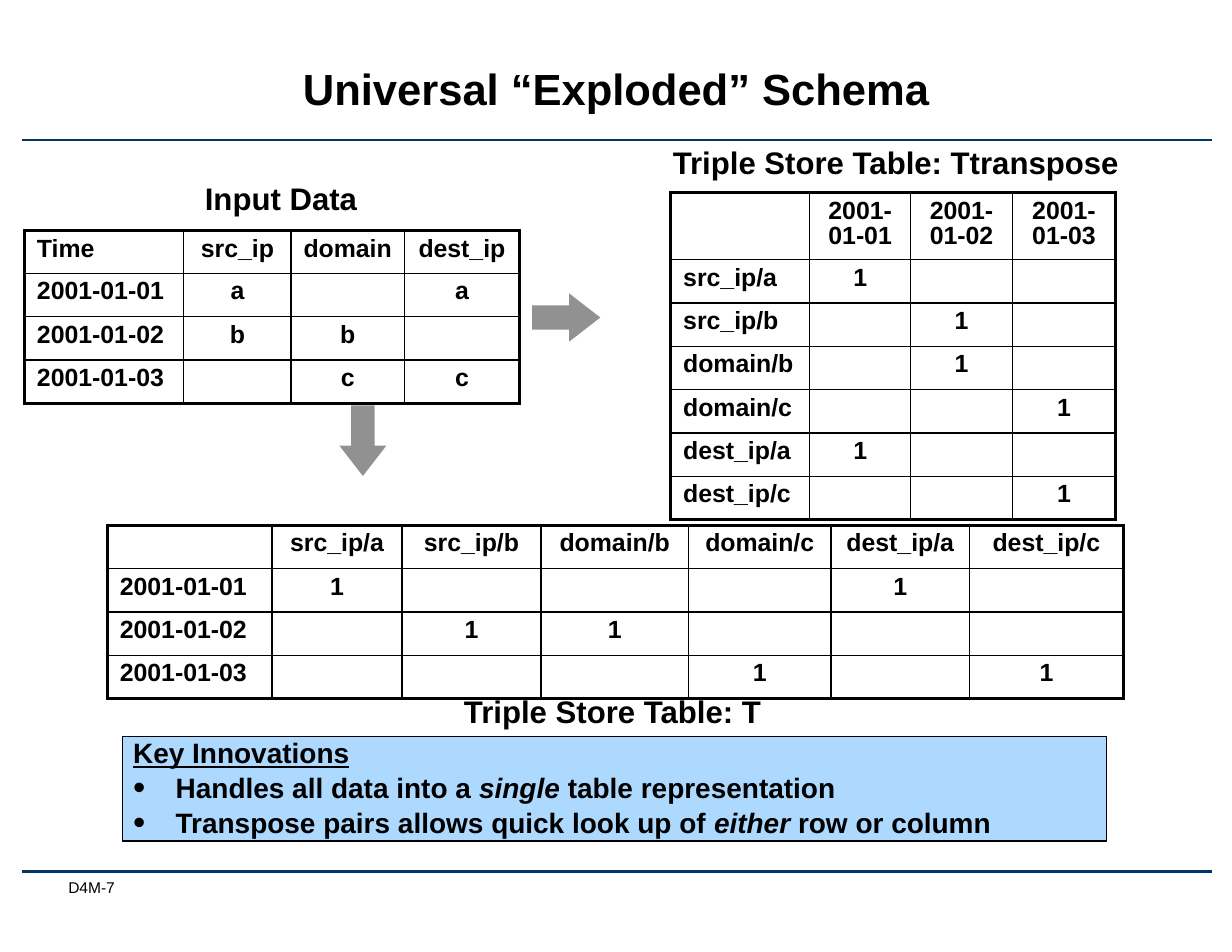
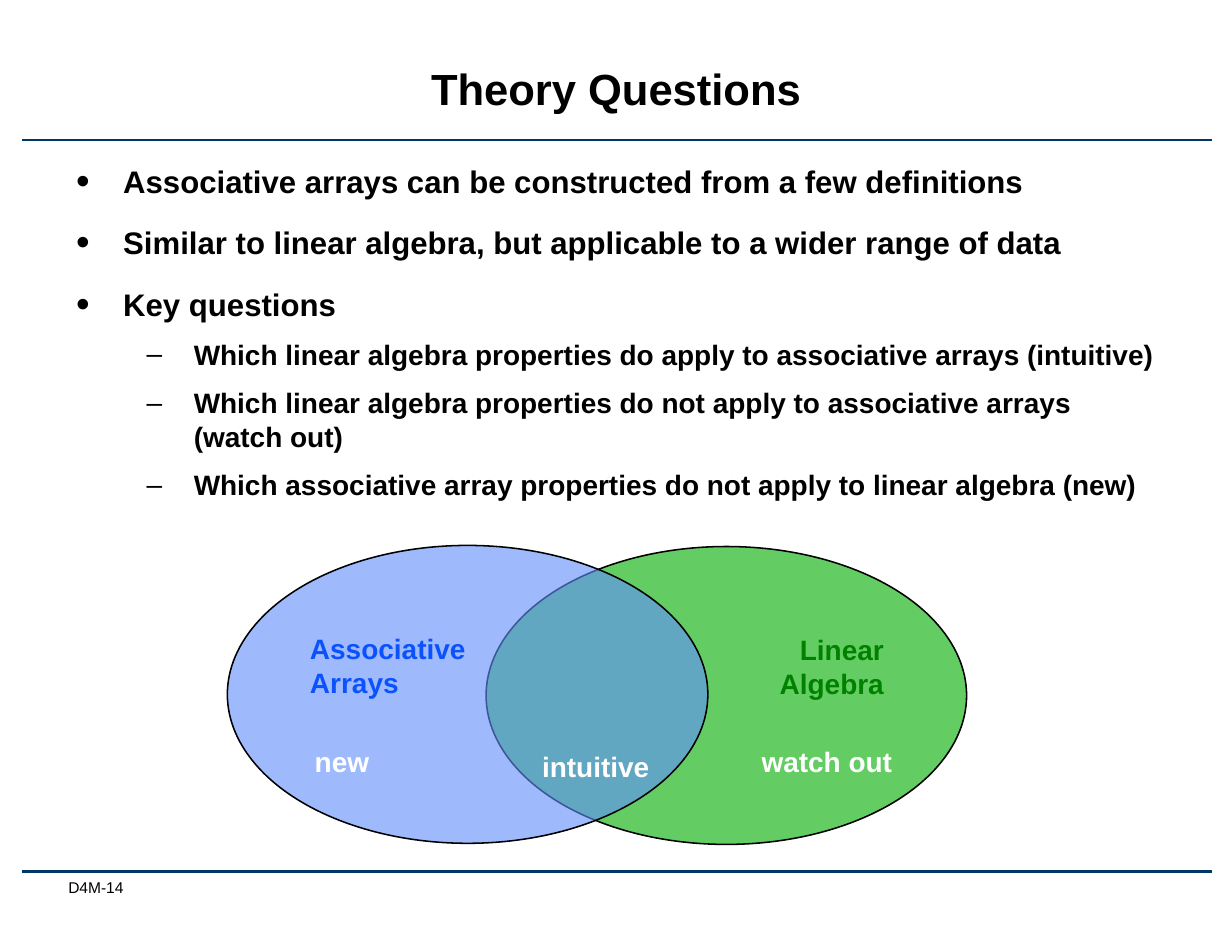
"""Build two slides on the exploded schema and associative array theory."""
from dataclasses import dataclass

from lxml import etree
from pptx import Presentation
from pptx.dml.color import RGBColor
from pptx.enum.shapes import MSO_CONNECTOR, MSO_SHAPE
from pptx.enum.text import MSO_ANCHOR, PP_ALIGN
from pptx.oxml.ns import qn
from pptx.util import Inches, Pt

STRAIGHT = MSO_CONNECTOR.STRAIGHT
RECTANGLE, ELLIPSE, DOWN_ARROW = MSO_SHAPE.RECTANGLE, MSO_SHAPE.OVAL, MSO_SHAPE.DOWN_ARROW
TOP, MIDDLE = MSO_ANCHOR.TOP, MSO_ANCHOR.MIDDLE
LEFT, CENTER, RIGHT = PP_ALIGN.LEFT, PP_ALIGN.CENTER, PP_ALIGN.RIGHT

BLACK = RGBColor(0x00, 0x00, 0x00)
WHITE = RGBColor(0xFF, 0xFF, 0xFF)
NAVY = RGBColor(0x00, 0x37, 0x67)
GRAY = RGBColor(0x91, 0x91, 0x91)
PALE_BLUE = RGBColor(0xAE, 0xD9, 0xFF)
GREEN = RGBColor(0x00, 0xAE, 0x00)
DARK_GREEN = RGBColor(0x00, 0x82, 0x00)
BLUE = RGBColor(0x61, 0x8F, 0xFD)
DARK_BLUE = RGBColor(0x0B, 0x52, 0xFC)

FONT = "Arial"
INSETS = (0.11, 0.06, 0.11, 0.06)
DATES = ["2001-01-01", "2001-01-02", "2001-01-03"]
KEYS = ["src_ip/a", "src_ip/b", "domain/b", "domain/c", "dest_ip/a", "dest_ip/c"]
ENTRIES = {(0, 0), (1, 1), (1, 2), (2, 3), (0, 4), (2, 5)}


@dataclass
class Bullet:
    """A bullet character with its indent in inches and relative size."""
    char: str
    left: float
    hanging: float
    percent: int = 100


@dataclass
class Grid:
    """A bordered table: position, column widths, row heights and cell texts."""
    left: float
    top: float
    cols: list[float]
    rows: list[float]
    cells: list[list[str]]


@dataclass
class Label:
    """A one-line text box."""
    text: str
    left: float
    top: float
    width: float
    height: float


@dataclass
class Arrow:
    """A block arrow pointing down before rotation."""
    left: float
    top: float
    width: float
    height: float
    rotation: int = 0


@dataclass
class VennSet:
    """A translucent ellipse, its name and the label near its lower edge."""
    left: float
    top: float
    fill: RGBColor
    name: list[str]
    color: RGBColor
    align: PP_ALIGN
    label: Label


def box(left: float, top: float, width: float, height: float) -> list:
    """Return a rectangle as four lengths."""
    return [Inches(v) for v in (left, top, width, height)]


def add_text(tf, text, *, size=18, color=BLACK, bold=True, underline=False, align=LEFT,
             spacing=None, before=0, bullet=None, first=False) -> None:
    """Write one paragraph; text is a string or (string, italic) pairs."""
    p = tf.paragraphs[0] if first else tf.add_paragraph()
    if bullet:
        pPr = p._p.get_or_add_pPr()
        pPr.set("marL", str(Inches(bullet.left)))
        pPr.set("indent", str(-Inches(bullet.hanging)))
        etree.SubElement(pPr, qn("a:buSzPct"), val=str(bullet.percent * 1000))
        etree.SubElement(pPr, qn("a:buFont"), typeface=FONT)
        etree.SubElement(pPr, qn("a:buChar"), char=bullet.char)
    p.alignment = align
    if spacing:
        p.line_spacing = spacing
    if before and not first:
        p.space_before = Pt(before)
    if not text:
        etree.SubElement(p._p, qn("a:endParaRPr"), sz=str(size * 100))
        return
    for part, italic in [(text, False)] if isinstance(text, str) else text:
        r = p.add_run()
        r.text = part
        r.font.name, r.font.size, r.font.bold = FONT, Pt(size), bold
        r.font.italic, r.font.underline = italic, underline
        r.font.color.rgb = color


def set_frame(tf, insets=INSETS, wrap=True, anchor=TOP):
    """Set the margins, wrapping and anchor of a text frame."""
    tf.margin_left, tf.margin_top, tf.margin_right, tf.margin_bottom = map(Inches, insets)
    tf.word_wrap = wrap
    tf.vertical_anchor = anchor
    return tf


def add_frame(slide, place, **frame):
    """Add a text box and return its text frame."""
    return set_frame(slide.shapes.add_textbox(*box(*place)).text_frame, **frame)


def add_label(slide, label: Label, **style) -> None:
    """Draw a one-line label."""
    tf = add_frame(slide, (label.left, label.top, label.width, label.height), wrap=False)
    add_text(tf, label.text, first=True, **style)


def add_shape(slide, kind, place, fill: RGBColor, line_width: float = 0, alpha: int = 100):
    """Add a filled shape, outlined in black if it has a line width."""
    sp = slide.shapes.add_shape(kind, *box(*place))
    sp.shadow.inherit = False
    sp.fill.solid()
    sp.fill.fore_color.rgb = fill
    if alpha < 100:
        clr = sp._element.spPr.find(qn("a:solidFill"))[0]
        etree.SubElement(clr, qn("a:alpha"), val=str(alpha * 1000))
    if line_width:
        sp.line.color.rgb = BLACK
        sp.line.width = Pt(line_width)
    else:
        sp.line.fill.background()
    return sp


def add_arrow(slide, arrow: Arrow) -> None:
    """Draw a gray block arrow."""
    sp = add_shape(slide, DOWN_ARROW, (arrow.left, arrow.top, arrow.width, arrow.height), GRAY)
    sp.adjustments[1] = 0.645
    sp.rotation = arrow.rotation


def set_borders(cell, outer: dict[str, bool]) -> None:
    """Draw the four borders of a cell, heavier on the outer sides."""
    tcPr = cell._tc.get_or_add_tcPr()
    for i, (side, is_outer) in enumerate(outer.items()):
        ln = etree.Element(qn(f"a:ln{side}"), w=str(Pt(2.25 if is_outer else 1)))
        fill = etree.SubElement(ln, qn("a:solidFill"))
        etree.SubElement(fill, qn("a:srgbClr"), val=str(BLACK))
        tcPr.insert(i, ln)


def add_grid(slide, grid: Grid) -> None:
    """Draw a table with a left-aligned first column."""
    n_rows, n_cols = len(grid.rows), len(grid.cols)
    place = box(grid.left, grid.top, sum(grid.cols), sum(grid.rows))
    table = slide.shapes.add_table(n_rows, n_cols, *place).table
    table.first_row = table.horz_banding = False
    for column, width in zip(table.columns, grid.cols):
        column.width = Inches(width)
    for i, (height, texts) in enumerate(zip(grid.rows, grid.cells)):
        table.rows[i].height = Inches(height)
        for j, text in enumerate(texts):
            cell = table.cell(i, j)
            cell.fill.background()
            (cell.margin_left, cell.margin_top,
             cell.margin_right, cell.margin_bottom) = map(Inches, INSETS)
            add_text(cell.text_frame, text, size=16, spacing=0.9,
                     align=CENTER if j else LEFT, first=True)
            set_borders(cell, {"L": j == 0, "R": j == n_cols - 1,
                               "T": i == 0, "B": i == n_rows - 1})


def add_venn_set(slide, venn: VennSet) -> None:
    """Draw one ellipse of the diagram with its name and label."""
    sp = add_shape(slide, ELLIPSE, (venn.left, venn.top, 4.29, 2.66), venn.fill, 1, alpha=61)
    tf = set_frame(sp.text_frame, insets=(0.11, 0.38, 0.11, 0.06))
    for i, word in enumerate(venn.name):
        add_text(tf, word, color=venn.color, align=venn.align, first=i == 0)
    add_label(slide, venn.label, color=WHITE)


def add_base(prs, title: str, number: int):
    """Add a blank slide with title, rules and slide number."""
    slide = prs.slides.add_slide(prs.slide_layouts[6])
    for y in (1.25, 7.78):
        line = slide.shapes.add_connector(STRAIGHT, Inches(0.2), Inches(y), Inches(10.82), Inches(y))
        line.line.color.rgb = NAVY
        line.line.width = Pt(1.75)
        etree.SubElement(line._element.spPr, qn("a:effectLst"))
    tf = add_frame(slide, (0.55, 7.84, 1.31, 0.27), insets=(0.06, 0, 0, 0))
    add_text(tf, f"D4M-{number}", size=10, bold=False, first=True)
    tf = add_frame(slide, (1.13, 0.31, 8.74, 1.01), anchor=MIDDLE)
    add_text(tf, title, size=28, align=CENTER, spacing=Pt(30), first=True)
    return slide


def build_schema(prs) -> None:
    """Build the slide on the exploded schema."""
    slide = add_base(prs, "Universal “Exploded” Schema", 7)
    marks = [["1" if (d, k) in ENTRIES else "" for k in range(len(KEYS))]
             for d in range(len(DATES))]
    inputs = [["a", "", "a"], ["b", "b", ""], ["", "c", "c"]]
    short_rows = [0.38] + [0.36] * 3
    grids = [
        Grid(0.22, 2.06, [1.42, 0.96, 1.01, 1.03], short_rows,
             [["Time", "src_ip", "domain", "dest_ip"]]
             + [[d, *row] for d, row in zip(DATES, inputs)]),
        Grid(0.96, 4.69, [1.47, 1.16, 1.24, 1.32, 1.27, 1.24, 1.37], short_rows,
             [["", *KEYS]] + [[d, *row] for d, row in zip(DATES, marks)]),
        Grid(5.99, 1.72, [1.24, 0.9, 0.91, 0.92], [0.59] + [0.38] * 6,
             [["", *DATES]] + [[k, *row] for k, row in zip(KEYS, zip(*marks))]),
    ]
    for grid in grids:
        add_grid(slide, grid)
    for label in (Label("Input Data", 1.71, 1.54, 1.6, 0.45),
                  Label("Triple Store Table: T", 4.02, 6.12, 2.9, 0.45),
                  Label("Triple Store Table: Ttranspose", 5.88, 1.22, 4.24, 0.45)):
        add_label(slide, label, size=20, align=CENTER)
    for arrow in (Arrow(3.03, 3.62, 0.42, 0.63), Arrow(4.84, 2.53, 0.43, 0.61, 270)):
        add_arrow(slide, arrow)

    sp = add_shape(slide, RECTANGLE, (1.09, 6.58, 8.79, 0.93), PALE_BLUE, 0.75)
    tf = set_frame(sp.text_frame, insets=(0.1, 0.05, 0.1, 0.05))
    add_text(tf, "Key Innovations", underline=True, spacing=0.8, first=True)
    for start, stress, end in (
            ("Handles all data into a ", "single", " table representation"),
            ("Transpose pairs allows quick look up of ", "either", " row or column")):
        add_text(tf, [(start, False), (stress, True), (end, False)], spacing=0.8,
                 before=5, bullet=Bullet("•", 0.38, 0.38, 125))


def build_theory(prs) -> None:
    """Build the slide on theory questions."""
    slide = add_base(prs, "Theory Questions", 14)
    tf = add_frame(slide, (0.57, 1.39, 9.85, 3.29))
    points = ["Associative arrays can be constructed from a few definitions",
              "Similar to linear algebra, but applicable to a wider range of data",
              "Key questions"]
    questions = ["Which linear algebra properties do apply to associative arrays (intuitive)",
                 "Which linear algebra properties do not apply to associative arrays (watch out)",
                 "Which associative array properties do not apply to linear algebra (new)"]
    for i, point in enumerate(points):
        add_text(tf, point, size=20, before=15.5, bullet=Bullet("•", 0.42, 0.42, 125), first=i == 0)
    for question in questions:
        add_text(tf, question, before=9.5, bullet=Bullet("–", 1.05, 0.42))

    for venn in (
            VennSet(4.34, 4.88, GREEN, ["Linear", "Algebra"], DARK_GREEN, RIGHT,
                    Label("watch out", 6.69, 6.59, 1.4, 0.42)),
            VennSet(2.03, 4.87, BLUE, ["Associative", "Arrays"], DARK_BLUE, LEFT,
                    Label("new", 2.7, 6.59, 0.72, 0.42))):
        add_venn_set(slide, venn)
    add_label(slide, Label("intuitive", 4.73, 6.63, 1.19, 0.42), color=WHITE)


def main() -> None:
    """Build and save the presentation."""
    prs = Presentation()
    prs.slide_width, prs.slide_height = Inches(11), Inches(8.5)
    build_schema(prs)
    build_theory(prs)
    prs.save("out.pptx")


if __name__ == "__main__":
    main()
